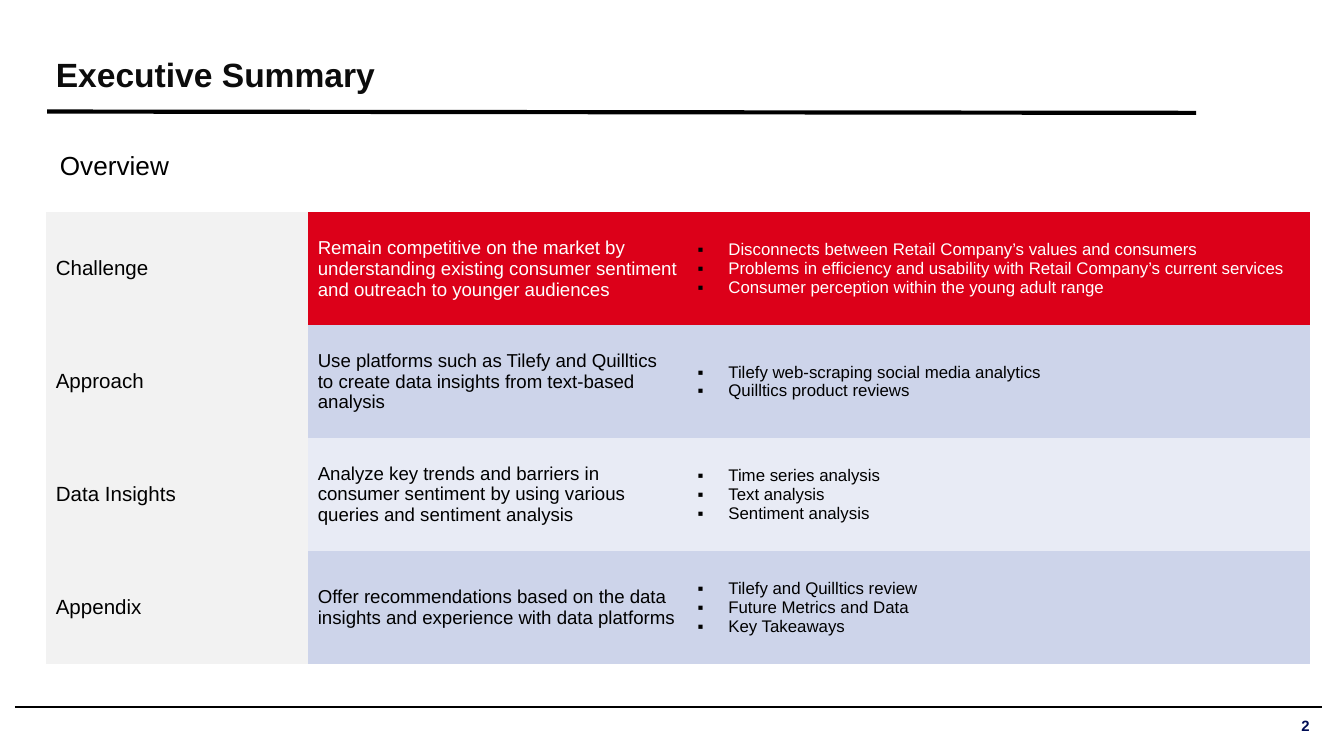
from lxml import etree
from pptx import Presentation
from pptx.dml.color import RGBColor
from pptx.enum.shapes import MSO_CONNECTOR
from pptx.enum.text import MSO_ANCHOR, MSO_AUTO_SIZE, PP_ALIGN
from pptx.oxml.ns import qn
from pptx.util import Pt

PX = 4572  # EMU, 200 px to the inch
LEFT, RIGHT = PP_ALIGN.LEFT, PP_ALIGN.RIGHT
TOP, MIDDLE = MSO_ANCHOR.TOP, MSO_ANCHOR.MIDDLE
STRAIGHT, FIXED = MSO_CONNECTOR.STRAIGHT, MSO_AUTO_SIZE.NONE
PLAIN = "{2D5ABB26-0587-4C30-8999-92F81FD0307C}"  # table style without borders


def color(code):
    return RGBColor.from_string(code)


def write(frame, lines, size, ink, bold=False, align=LEFT):
    for i, line in enumerate(lines):
        para = frame.paragraphs[0] if i == 0 else frame.add_paragraph()
        para.alignment = align
        run = para.add_run()
        run.text = line
        look = {"name": "Arial", "size": Pt(size), "bold": bold}
        for key, value in look.items():
            setattr(run.font, key, value)
        run.font.color.rgb = color(ink)


deck = Presentation()
deck.slide_width, deck.slide_height = 2000 * PX, 1125 * PX
slide = deck.slides.add_slide(deck.slide_layouts[5])
shapes = slide.shapes

# Rules above the page number and under the title
for x1, y1, x2, y2, width in [(22, 1052, 1968, 1052, 0.75), (70, 166, 1780, 168, 2.25)]:
    rule = shapes.add_connector(STRAIGHT, x1 * PX, y1 * PX, x2 * PX, y2 * PX)
    rule.line.color.rgb = color("000000")
    rule.line.width = Pt(width)
    etree.SubElement(rule._element.spPr, qn("a:effectLst"))

# Title, heading and page number
title = shapes.title
head = shapes.add_textbox(0, 0, PX, PX)
page = shapes.add_textbox(0, 0, PX, PX)
texts = [
    (title, (68, 46, 1752, 128), 15, MIDDLE, ("Executive Summary", 18, "0C0C0C", True, LEFT)),
    (head, (74, 208, 458, 86), 15, TOP, ("Overview", 14, "000000", False, LEFT)),
    (page, (1856, 1059, 108, 42), 8, MIDDLE, ("2", 8, "000D55", True, RIGHT)),
]
for shape, box, pad, anchor, (text, *look) in texts:
    for key, value in zip(("left", "top", "width", "height"), box):
        setattr(shape, key, value * PX)
    form = {
        "word_wrap": True, "auto_size": FIXED, "vertical_anchor": anchor,
        "margin_left": 15 * PX, "margin_right": 15 * PX,
        "margin_top": pad * PX, "margin_bottom": pad * PX,
    }
    for key, value in form.items():
        setattr(shape.text_frame, key, value)
    write(shape.text_frame, [text], *look)

# Overview table: topic, summary, points, fill and text colour
rows = [
    ("Challenge",
     "Remain competitive on the market by understanding existing consumer "
     "sentiment and outreach to younger audiences",
     ["Disconnects between Retail Company’s values and consumers",
      "Problems in efficiency and usability with Retail Company’s current services",
      "Consumer perception within the young adult range"],
     "DC0019", "FFFFFF"),
    ("Approach",
     "Use platforms such as Tilefy and Quilltics to create data insights "
     "from text-based analysis",
     ["Tilefy web-scraping social media analytics", "Quilltics product reviews"],
     "CDD4EA", "000000"),
    ("Data Insights",
     "Analyze key trends and barriers in consumer sentiment by using various "
     "queries and sentiment analysis",
     ["Time series analysis", "Text analysis", "Sentiment analysis"],
     "E8EBF5", "000000"),
    ("Appendix",
     "Offer recommendations based on the data insights and experience with "
     "data platforms",
     ["Tilefy and Quilltics review", "Future Metrics and Data", "Key Takeaways"],
     "CDD4EA", "000000"),
]
widths = [390, 564, 928]
frame = shapes.add_table(len(rows), len(widths), 68 * PX, 316 * PX,
                         sum(widths) * PX, len(rows) * 168 * PX)
table = frame.table
table.first_row = table.horz_banding = False
table._tbl.tblPr.find(qn("a:tableStyleId")).text = PLAIN
for col, width in zip(table.columns, widths):
    col.width = width * PX

form = {
    "vertical_anchor": MIDDLE, "margin_left": 15 * PX, "margin_right": 15 * PX,
    "margin_top": 8 * PX, "margin_bottom": 8 * PX,
}
for r, (topic, summary, points, fill, ink) in enumerate(rows):
    cells = [
        ([topic], 11, "F2F2F2", "000000"),
        ([summary], 10, fill, ink),
        (points, 9, fill, ink),
    ]
    for c, (lines, size, back, tone) in enumerate(cells):
        cell = table.cell(r, c)
        for key, value in form.items():
            setattr(cell, key, value)
        cell.fill.solid()
        cell.fill.fore_color.rgb = color(back)
        write(cell.text_frame, lines, size, tone)
    for para in table.cell(r, 2).text_frame.paragraphs:
        props = para._p.get_or_add_pPr()
        props.set("marL", str(47 * PX))
        props.set("indent", str(-46 * PX))
        tint = etree.SubElement(props, qn("a:buClr"))
        etree.SubElement(tint, qn("a:srgbClr"), val="000000")
        etree.SubElement(props, qn("a:buFont"), typeface="Arial")
        etree.SubElement(props, qn("a:buChar"), char="▪")

deck.save("out.pptx")
